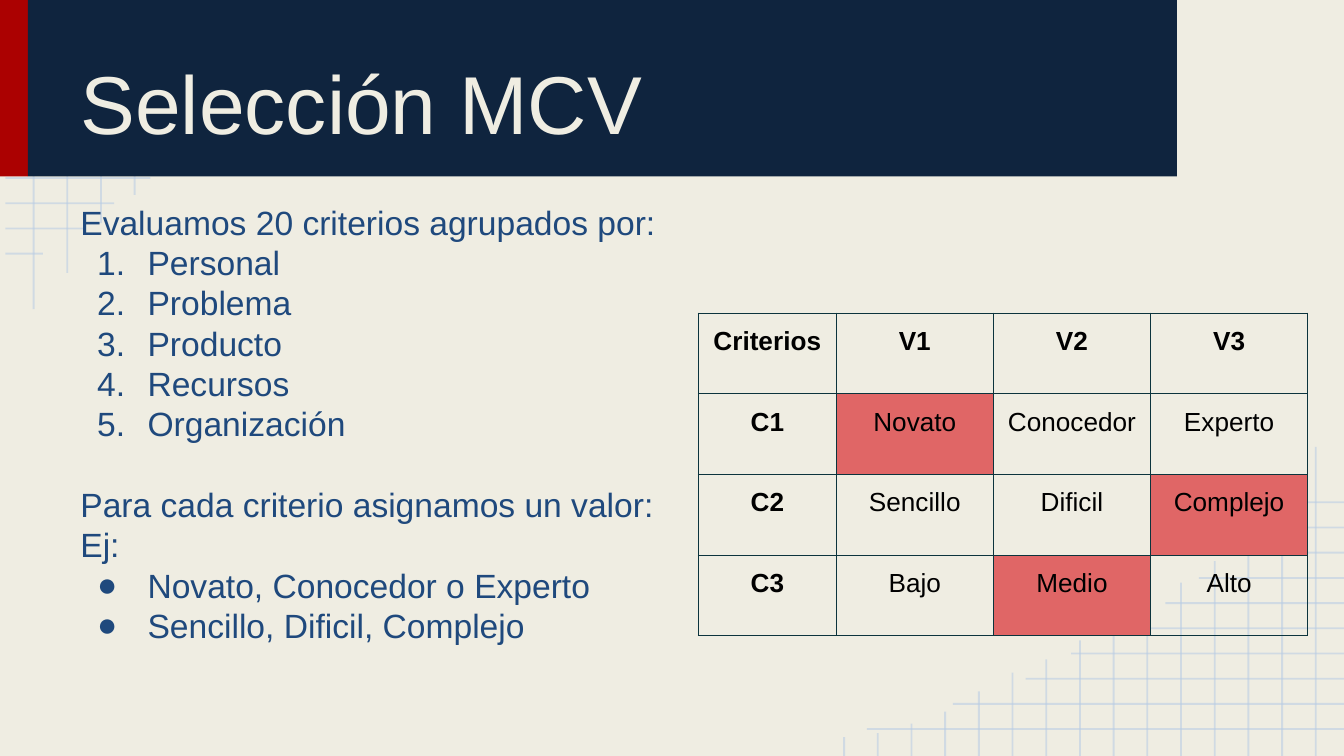
from lxml import etree
from pptx import Presentation
from pptx.dml.color import RGBColor
from pptx.enum.shapes import MSO_CONNECTOR, MSO_SHAPE
from pptx.enum.text import MSO_ANCHOR, PP_ALIGN
from pptx.oxml.ns import qn
from pptx.util import Pt

LINE = MSO_CONNECTOR.STRAIGHT
RECTANGLE = MSO_SHAPE.RECTANGLE
TOP, BOTTOM = MSO_ANCHOR.TOP, MSO_ANCHOR.BOTTOM
LEFT, CENTER = PP_ALIGN.LEFT, PP_ALIGN.CENTER

THEME = {
    "font": "Arial",
    "paper": "EFEDE2", "grid": "B7CCE4", "red": "AB0101", "navy": "0F243E",
    "body": "1F497D", "cell": "000000", "chosen": "E06666", "border": "0C343D",
    "title_size": 44, "body_size": 18, "cell_size": 14,
}
WIDTH, HEIGHT = 720, 405
INSET = 7.2


def write(para, text, size, color, bold=False):
    span = para.add_run()
    span.text = text
    values = {"name": THEME["font"], "size": Pt(THEME[size]), "bold": bold}
    for name, value in values.items():
        setattr(span.font, name, value)
    span.font.color.rgb = RGBColor.from_string(THEME[color])


def format_frame(frame, anchor):
    values = {"word_wrap": True, "vertical_anchor": anchor}
    for side in ("left", "right", "top", "bottom"):
        values[f"margin_{side}"] = Pt(INSET)
    for name, value in values.items():
        setattr(frame, name, value)


deck = Presentation()
deck.slide_width, deck.slide_height = Pt(WIDTH), Pt(HEIGHT)
page = deck.slides.add_slide(deck.slide_layouts[5])
page.background.fill.solid()
page.background.fill.fore_color.rgb = RGBColor.from_string(THEME["paper"])

row_ends = [258.5, 212.4, 173.5, 149, 120.2, 98.6, 80.6, 61.2, 44.6, 23]
column_ends = [165.6, 146.2, 119.5, 104.4, 92.9, 83.5, 71.3, 61.9, 51.8,
               44.6, 34.6, 23.8, 17.3, 12.2, 10.1]
grid_lines = [(2.9, 14.4 + 13.5 * i, end, 14.4 + 13.5 * i)
              for i, end in enumerate(row_ends)]
grid_lines += [(18 + 18.05 * i, end, 18 + 18.05 * i, 0)
               for i, end in enumerate(column_ends)]
rotated_lines = [(WIDTH + 2.9 - x1, HEIGHT - y1, WIDTH + 2.9 - x2, HEIGHT - y2)
                 for x1, y1, x2, y2 in grid_lines]
for ends in grid_lines + rotated_lines:
    grid_line = page.shapes.add_connector(LINE, *[Pt(value) for value in ends])
    grid_line.line.width = Pt(1)
    grid_line.line.color.rgb = RGBColor.from_string(THEME["grid"])
    color = grid_line.element.spPr.find(".//" + qn("a:srgbClr"))
    etree.SubElement(color, qn("a:alpha"), val="54000")
    etree.SubElement(grid_line.element.spPr, qn("a:effectLst"))

for left, width, color in [(0, 15, "red"), (15, 615.5, "navy")]:
    band = page.shapes.add_shape(RECTANGLE, Pt(left), Pt(-0.5), Pt(width), Pt(95))
    band.shadow.inherit = False
    band.fill.solid()
    band.fill.fore_color.rgb = RGBColor.from_string(THEME[color])
    band.line.fill.background()

title = page.shapes.title
title.element.getparent().append(title.element)
place = {"left": 36, "top": 8, "width": 576, "height": 80}
for name, value in place.items():
    setattr(title, name, Pt(value))
format_frame(title.text_frame, BOTTOM)
title_para = title.text_frame.paragraphs[0]
title_para.alignment = LEFT
write(title_para, "Selección MCV", "title_size", "title" if "title" in THEME else "paper")

NUMBER = ("a:buAutoNum", {"type": "arabicPeriod"})
DOT = ("a:buChar", {"char": "●"})
body_lines = [
    ("Evaluamos 20 criterios agrupados por:", None, 0),
    ("Personal", NUMBER, 0),
    ("Problema", NUMBER, 0),
    ("Producto", NUMBER, 0),
    ("Recursos", NUMBER, 0),
    ("Organización", NUMBER, 0),
    ("Para cada criterio asignamos un valor:", None, 21.6),
    ("Ej:", None, 0),
    ("Novato, Conocedor o Experto", DOT, 0),
    ("Sencillo, Dificil, Complejo", DOT, 0),
]
body = page.shapes.add_textbox(Pt(36), Pt(100.8), Pt(648), Pt(286))
format_frame(body.text_frame, TOP)
for index, (text, bullet, gap) in enumerate(body_lines):
    para = body.text_frame.add_paragraph() if index else body.text_frame.paragraphs[0]
    para.line_spacing = Pt(21.6)
    para.space_before = Pt(gap)
    write(para, text, "body_size", "body")
    if bullet:
        tag, values = bullet
        properties = para._p.get_or_add_pPr()
        properties.set("marL", str(Pt(36)))
        properties.set("indent", str(Pt(-27)))
        bullet_color = etree.SubElement(properties, qn("a:buClr"))
        etree.SubElement(bullet_color, qn("a:srgbClr"), val=THEME["body"])
        etree.SubElement(properties, qn("a:buFont"), typeface=THEME["font"])
        etree.SubElement(properties, qn(tag), values)

criteria = [
    ["Criterios", "V1", "V2", "V3"],
    ["C1", "Novato", "Conocedor", "Experto"],
    ["C2", "Sencillo", "Dificil", "Complejo"],
    ["C3", "Bajo", "Medio", "Alto"],
]
chosen = {"Novato", "Complejo", "Medio"}
column_widths = [73.8, 84.2, 84.2, 84.2]
row_height = 43.2
table = page.shapes.add_table(
    len(criteria), len(column_widths), Pt(374.2), Pt(167.8),
    Pt(sum(column_widths)), Pt(row_height * len(criteria))).table
table.first_row = table.horz_banding = False
for column, width in zip(table.columns, column_widths):
    column.width = Pt(width)
for r, texts in enumerate(criteria):
    table.rows[r].height = Pt(row_height)
    for c, text in enumerate(texts):
        cell = table.cell(r, c)
        format_frame(cell, TOP)
        para = cell.text_frame.paragraphs[0]
        para.alignment = CENTER
        write(para, text, "cell_size", "cell", r == 0 or c == 0)
        if text in chosen:
            cell.fill.solid()
            cell.fill.fore_color.rgb = RGBColor.from_string(THEME["chosen"])
        else:
            cell.fill.background()
        properties = cell._tc.get_or_add_tcPr()
        for position, side in enumerate(("a:lnL", "a:lnR", "a:lnT", "a:lnB")):
            border = etree.Element(qn(side), w=str(Pt(0.75)))
            border_fill = etree.SubElement(border, qn("a:solidFill"))
            etree.SubElement(border_fill, qn("a:srgbClr"), val=THEME["border"])
            properties.insert(position, border)

deck.save("out.pptx")
